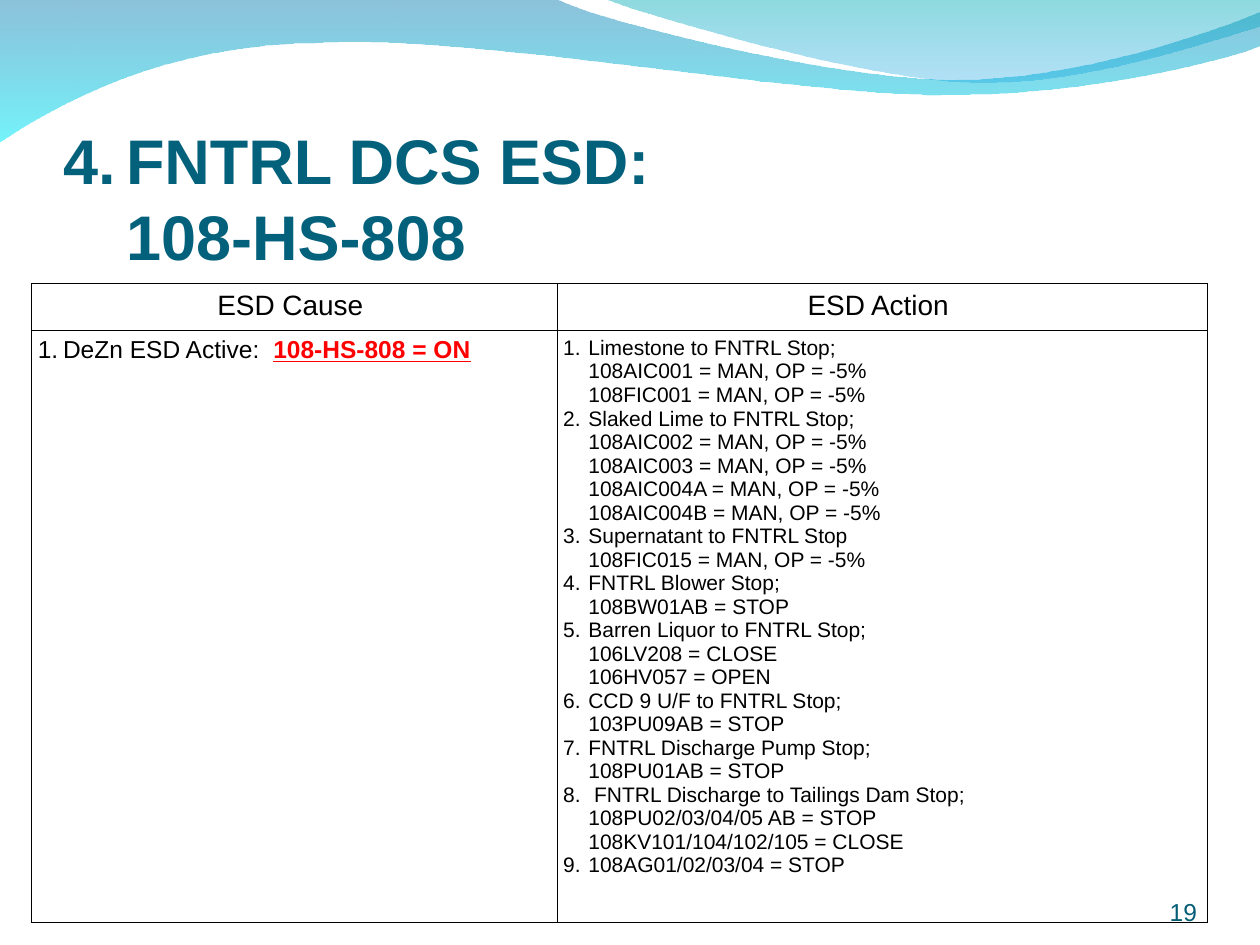
from dataclasses import dataclass
from lxml.etree import SubElement
from pptx import Presentation
from pptx.dml.color import RGBColor as RGB
from pptx.enum.text import MSO_ANCHOR as Anchor, PP_ALIGN as Align
from pptx.oxml.ns import qn
from pptx.util import Emu, Inches, Pt


@dataclass(frozen=True)
class Theme:
    """Colours, type sizes and line widths of the slide."""
    font: str = "Arial"
    title: str = "04617B"
    number: str = "045C75"
    text: str = "000000"
    alert: str = "FF0000"
    back_wave: tuple = (("0079AF", 45), ("00EBF8", 55))
    front_wave: tuple = (("00ADB6", 45), ("009BE5", 30))
    title_pt: int = 36
    head_pt: int = 16
    cause_pt: int = 14
    action_pt: int = 12
    border_pt: float = 0.45


T = Theme()
COLS, ROWS = 40, 30
SLIDE_W, SLIDE_H = Inches(10), Inches(7.5)

BACK_WAVE = [
    [(0, 0)], [(44.1, 0)],
    [(47.6, 15.8), (66.4, 56.1), (75.8, 56.1)],
    [(85.3, 56.1), (95.8, 23.7), (100, 8.8)],
    [(100, 32.5)],
    [(98.3, 39.5), (87, 67.5), (74.6, 66.7)],
    [(62.2, 66.7), (38.2, 25.4), (25.7, 30.7)],
    [(12.9, 31.6), (4.6, 73.7), (0, 100)],
]
FRONT_WAVE = [
    [(47.9, 0)],
    [(50.9, 10.5), (68.2, 55.3), (76.9, 57.9)],
    [(85.6, 61.4), (96.1, 28.9), (100, 19.3)],
    [(100, 0.9)],
]

ACTIONS = [
    ["Limestone to FNTRL Stop;", "108AIC001 = MAN, OP = -5%",
     "108FIC001 = MAN, OP = -5%"],
    ["Slaked Lime to FNTRL Stop;", "108AIC002 = MAN, OP = -5%",
     "108AIC003 = MAN, OP = -5%", "108AIC004A = MAN, OP = -5%",
     "108AIC004B = MAN, OP = -5%"],
    ["Supernatant to FNTRL Stop", "108FIC015 = MAN, OP = -5%"],
    ["FNTRL Blower Stop;", "108BW01AB = STOP"],
    ["Barren Liquor to FNTRL Stop;", "106LV208 = CLOSE", "106HV057 = OPEN"],
    ["CCD 9 U/F to FNTRL Stop;", "103PU09AB = STOP"],
    ["FNTRL Discharge Pump Stop;", "108PU01AB = STOP"],
    [" FNTRL Discharge to Tailings Dam Stop;", "108PU02/03/04/05 AB = STOP",
     "108KV101/104/102/105 = CLOSE"],
    ["108AG01/02/03/04 = STOP"],
]


def grid(col, row, cols, rows):
    """Turn grid columns and rows into left, top, width and height."""
    cw, rh = SLIDE_W / COLS, SLIDE_H / ROWS
    return tuple(Emu(round(v)) for v in (col * cw, row * rh, cols * cw, rows * rh))


def style(p, size, color, bold=False):
    """Format every run of a paragraph."""
    for r in p.runs:
        r.font.name, r.font.size, r.font.bold = T.font, Pt(size), bold
        r.font.color.rgb = RGB.from_string(color)


def number(p, indent, color, start=1):
    """Give a paragraph an automatic number with a hanging indent."""
    ppr = p._p.get_or_add_pPr()
    ppr.set("marL", str(Inches(indent)))
    ppr.set("indent", str(-Inches(indent)))
    SubElement(SubElement(ppr, qn("a:buClr")), qn("a:srgbClr"), val=color)
    SubElement(ppr, qn("a:buFont"), typeface=T.font)
    SubElement(ppr, qn("a:buAutoNum"), type="arabicPeriod", startAt=str(start))


def bend(sp, segments):
    """Turn each three-point segment of a freeform into one cubic curve."""
    outline = next(sp._element.iter(qn("a:path")))
    nodes = iter(list(outline))
    for seg in segments:
        group = [next(nodes) for _ in seg]
        if len(seg) == 3:
            cubic = SubElement(outline, qn("a:cubicBezTo"))
            group[0].addprevious(cubic)
            for node in group:
                cubic.append(node[0])
                outline.remove(node)


def add_wave(s, box, segments, stops):
    """Draw a wave whose outline is in percent of its box."""
    x, y, w, h = box
    pts = [(round(x + px * w / 100), round(y + py * h / 100))
           for seg in segments for px, py in seg]
    fb = s.shapes.build_freeform(*pts[0])
    fb.add_line_segments(pts[1:], close=True)
    sp = fb.convert_to_shape()
    bend(sp, segments)
    sp.shadow.inherit = False
    sp.line.fill.background()
    sp.fill.gradient()
    sp.fill.gradient_angle = 270
    for stop, (color, _) in zip(sp.fill.gradient_stops, stops):
        stop.color.rgb = RGB.from_string(color)
    for clr, (_, alpha) in zip(sp._element.spPr.iter(qn("a:srgbClr")), stops):
        SubElement(clr, qn("a:alpha"), val=str(alpha * 1000))


def add_text(s, box, text, size, color, bold=False, top=0):
    """Add a bottom-anchored text box and return its paragraph."""
    tf = s.shapes.add_textbox(*box).text_frame
    tf.word_wrap, tf.vertical_anchor = True, Anchor.BOTTOM
    tf.margin_left = tf.margin_right = tf.margin_bottom = 0
    tf.margin_top = Inches(top)
    p = tf.paragraphs[0]
    p.text = text
    style(p, size, color, bold)
    return p


def add_title(s, box):
    """Add the numbered two-line title."""
    p = add_text(s, box, "FNTRL DCS ESD: \v108-HS-808", T.title_pt, T.title, True, 0.05)
    number(p, 0.5, T.title, 4)


def add_page_number(s, box):
    """Add the page number at the right."""
    add_text(s, box, "19", T.cause_pt, T.number).alignment = Align.RIGHT


def frame_cell(cell):
    """Clear a cell's fill and set its margins and borders."""
    cell.margin_left = cell.margin_right = Inches(0.05)
    cell.margin_top = cell.margin_bottom = Inches(0.05)
    cell.fill.background()
    tcpr = cell._tc.get_or_add_tcPr()
    for i, side in enumerate(("lnL", "lnR", "lnT", "lnB")):
        ln = SubElement(tcpr, qn(f"a:{side}"), w=str(Pt(T.border_pt)))
        SubElement(SubElement(ln, qn("a:solidFill")), qn("a:srgbClr"), val=T.text)
        tcpr.insert(i, ln)


def add_esd_table(s, box):
    """Add the table of shutdown causes and actions."""
    x, y, w, h = box
    tbl = s.shapes.add_table(2, 2, x, y, w, h).table
    tbl.first_row = tbl.horz_banding = False
    tbl.columns[0].width = Inches(4.17)
    tbl.columns[1].width = w - Inches(4.17)
    tbl.rows[0].height = Inches(0.37)
    tbl.rows[1].height = h - Inches(0.37)
    for cell in tbl.iter_cells():
        frame_cell(cell)
    for col, head in enumerate(("ESD Cause ", "ESD Action ")):
        p = tbl.cell(0, col).text_frame.paragraphs[0]
        p.text, p.alignment = head, Align.CENTER
        style(p, T.head_pt, T.text)

    p = tbl.cell(1, 0).text_frame.paragraphs[0]
    p.text = "DeZn ESD Active:  "
    r = p.add_run()
    r.text = "108-HS-808 = ON"
    style(p, T.cause_pt, T.text)
    r.font.bold = r.font.underline = True
    r.font.color.rgb = RGB.from_string(T.alert)
    number(p, 0.2, T.text)

    tf = tbl.cell(1, 1).text_frame
    tf.text = "\n".join("\v".join(lines) for lines in ACTIONS)
    for p in tf.paragraphs:
        style(p, T.action_pt, T.text)
        number(p, 0.2, T.text)


def main():
    """Build and save the slide."""
    prs = Presentation()
    prs.slide_width, prs.slide_height = SLIDE_W, SLIDE_H
    s = prs.slides.add_slide(prs.slide_layouts[6])
    header = grid(-0.04, -0.04, 40.08, 4.56)
    add_wave(s, header, BACK_WAVE, T.back_wave)
    add_wave(s, header, FRONT_WAVE, T.front_wave)
    add_esd_table(s, grid(1, 9, 37.33, 20.28))
    add_page_number(s, grid(34.67, 27.8, 3.33, 1.6))
    add_title(s, grid(2, 3.67, 36.67, 5))
    prs.save("out.pptx")


if __name__ == "__main__":
    main()
